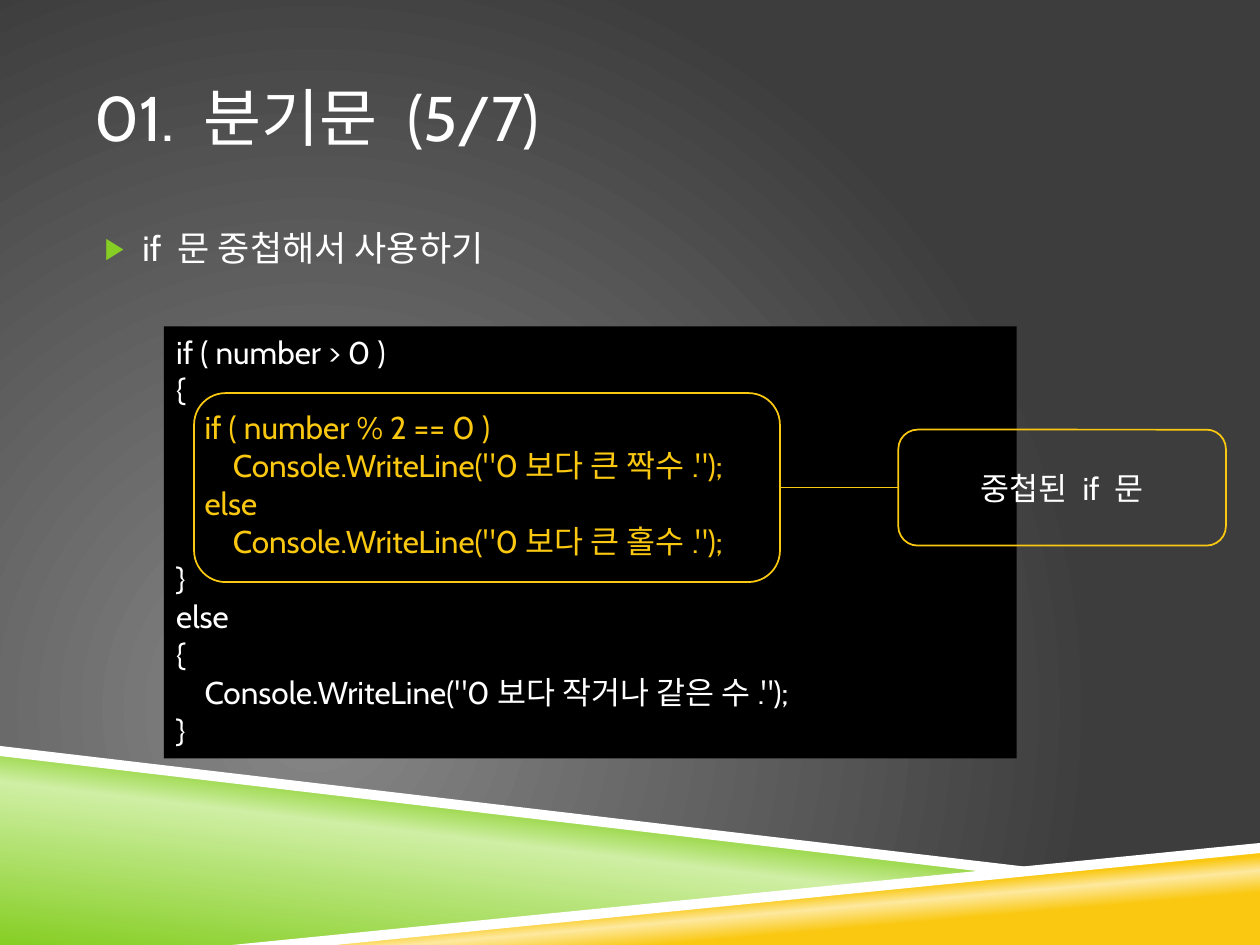
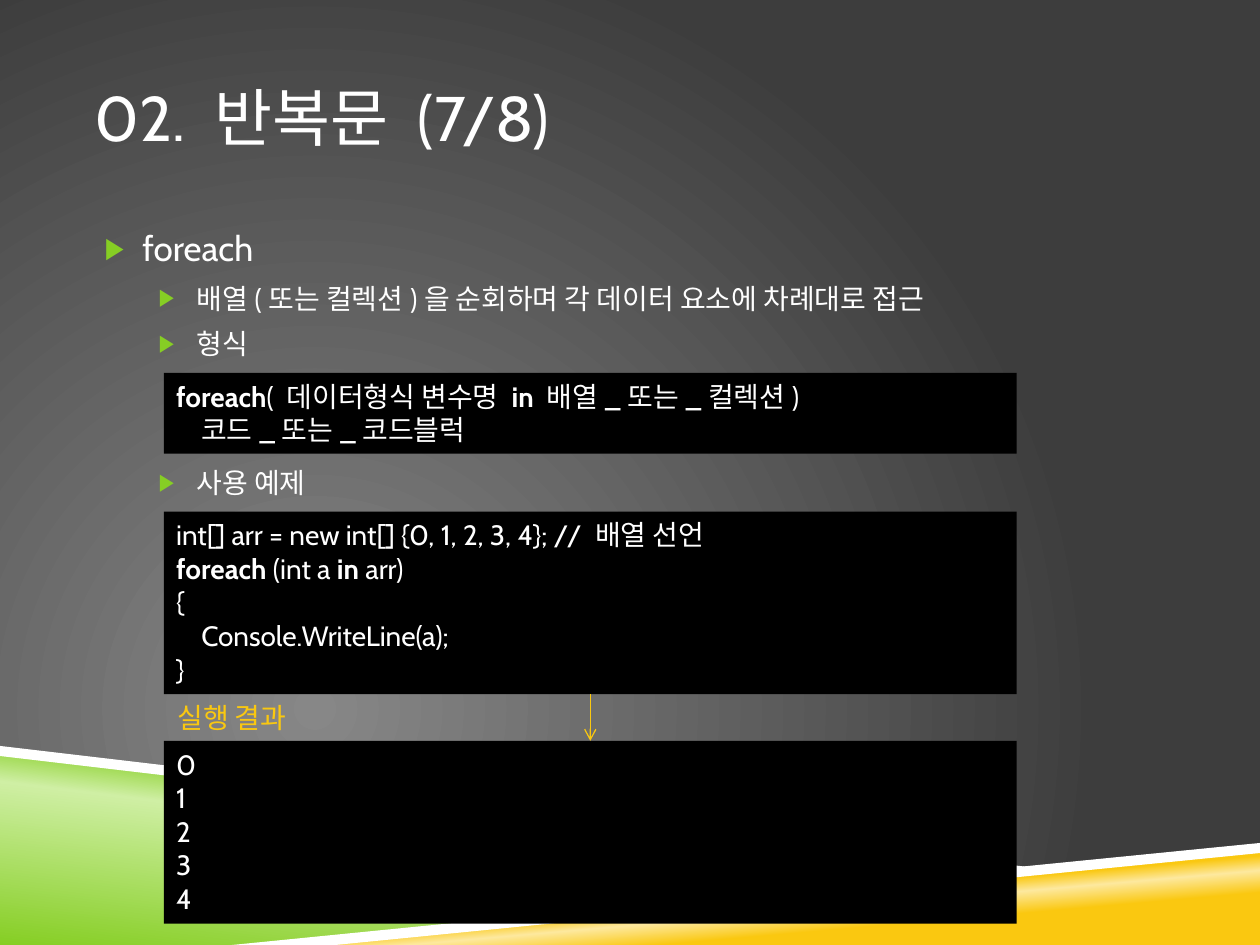
from dataclasses import dataclass

from pptx import Presentation
from pptx.dml.color import RGBColor
from pptx.enum.shapes import MSO_CONNECTOR, MSO_SHAPE
from pptx.enum.text import MSO_ANCHOR, MSO_AUTO_SIZE, PP_ALIGN
from pptx.oxml import parse_xml
from pptx.oxml.ns import nsdecls, qn
from pptx.util import Inches, Pt

RECTANGLE, ROUNDED = MSO_SHAPE.RECTANGLE, MSO_SHAPE.ROUNDED_RECTANGLE
STRAIGHT = MSO_CONNECTOR.STRAIGHT
LEFT, CENTER = PP_ALIGN.LEFT, PP_ALIGN.CENTER
TOP, MIDDLE = MSO_ANCHOR.TOP, MSO_ANCHOR.MIDDLE
NO_FIT, GROW = MSO_AUTO_SIZE.NONE, MSO_AUTO_SIZE.SHAPE_TO_FIT_TEXT
TOP_SITE, LEFT_SITE, BOTTOM_SITE, RIGHT_SITE = range(4)
CONTENT_LAYOUT = 1
CODE_LEFT, CODE_WIDTH = 1.3, 6.77


@dataclass(frozen=True)
class Theme:
    """Colours, font and type sizes of the deck."""
    font: str = "Cabin"
    text: str = "FFFFFF"
    code_fill: str = "000000"
    green: str = "86CE24"
    pale_green: str = "CFEFA4"
    yellow: str = "FAC810"
    pale_yellow: str = "FDE99F"
    glow: str = "878787"
    backdrop: str = "3D3D3D"
    title_size: int = 36
    list_sizes: tuple = (20, 16)
    list_indents: tuple = (0.38, 0.81)
    hanging: float = -0.3
    list_gap: int = 7
    large: int = 18
    small: int = 16


def rgb(colour):
    """Turn a hex string into a colour."""
    return RGBColor.from_string(colour)


def set_gradient(fill, owner, stops, direction):
    """Give a fill any number of stops and a direction element."""
    fill.gradient()
    marks = "".join(
        f'<a:gs pos="{position * 1000}"><a:srgbClr val="{colour}"/></a:gs>'
        for position, colour in stops)
    old = owner.find(".//" + qn("a:gradFill"))
    old.getparent().replace(old, parse_xml(
        f'<a:gradFill {nsdecls("a")} rotWithShape="1">'
        f"<a:gsLst>{marks}</a:gsLst>{direction}</a:gradFill>"))


def linear(angle):
    """Describe a linear gradient, clockwise in degrees."""
    return f'<a:lin ang="{angle * 60000}" scaled="0"/>'


class Deck:
    """Holds the presentation, its theme and the current slide."""

    def __init__(self, theme):
        self.theme = theme
        self.presentation = Presentation()
        self.presentation.slide_width = Inches(10)
        self.presentation.slide_height = Inches(7.5)
        self.slide = None

    def add_slide(self, title):
        """Start a slide with its title."""
        layout = self.presentation.slide_layouts[CONTENT_LAYOUT]
        self.slide = self.presentation.slides.add_slide(layout)
        heading = self.slide.shapes.title
        self.place(heading, 0.75, 0.3, 8.5, 1.25)
        frame = heading.text_frame
        frame.text = title
        self.set_frame(frame, MIDDLE)
        frame.paragraphs[0].alignment = LEFT
        self.style_runs(frame.paragraphs[0], self.theme.title_size)

    def place(self, shape, left, top, width, height):
        """Move and size a placeholder."""
        shape.left, shape.top = Inches(left), Inches(top)
        shape.width, shape.height = Inches(width), Inches(height)

    def set_frame(self, frame, anchor):
        """Remove the side margins of a placeholder and anchor its text."""
        frame.margin_left = frame.margin_right = 0
        frame.margin_top = frame.margin_bottom = Inches(0.05)
        frame.vertical_anchor = anchor
        frame.auto_size = NO_FIT
        frame.word_wrap = True

    def style_runs(self, paragraph, size, colour=None):
        """Apply the deck font to all runs of a paragraph."""
        for run in paragraph.runs:
            run.font.name = self.theme.font
            run.font.size = Pt(size)
            run.font.color.rgb = rgb(colour or self.theme.text)

    def decorate_master(self):
        """Put the backdrop and the crossing bands on the slide master."""
        theme = self.theme
        master = self.presentation.slide_master
        set_gradient(
            master.background.fill, master.element,
            [(0, theme.glow), (100, theme.backdrop)],
            '<a:path path="circle"><a:fillToRect l="50000" t="100000" '
            'r="100000" b="50000"/></a:path>')
        green_band = self.band([(0, 5.97), (7.92, 6.92), (2, 7.5), (0, 7.5)])
        set_gradient(
            green_band.fill, green_band.element,
            [(0, theme.green), (52, theme.pale_green), (66, theme.green)],
            linear(277))
        yellow_band = self.band([(1.98, 7.5), (10, 6.72), (10, 7.5)])
        set_gradient(
            yellow_band.fill, yellow_band.element,
            [(28, theme.yellow), (40, theme.pale_yellow), (48, theme.yellow)],
            linear(265))
        edges = [self.band([(0, 5.92), (0, 6), (7.9, 6.93), (8.32, 6.9)]),
                 self.band([(10, 6.69), (1.84, 7.5), (2.66, 7.5), (10, 6.77)])]
        for edge in edges:
            edge.fill.solid()
            edge.fill.fore_color.rgb = rgb(theme.text)
        front = master.shapes[0].element
        for number, band in enumerate([green_band, yellow_band, *edges], 101):
            band.element.find(".//" + qn("p:cNvPr")).set("id", str(number))
            front.addprevious(band.element)

    def band(self, corners):
        """Draw a closed polygon without outline."""
        points = [(Inches(x), Inches(y)) for x, y in corners]
        builder = self.slide.shapes.build_freeform(*points[0])
        builder.add_line_segments(points[1:], close=True)
        polygon = builder.convert_to_shape()
        polygon.shadow.inherit = False
        polygon.line.fill.background()
        return polygon

    def bullets(self, items, height):
        """Fill the body with (level, text, space before) items."""
        theme = self.theme
        body = self.slide.placeholders[1]
        self.place(body, 0.75, 1.75, 8.5, height)
        frame = body.text_frame
        frame.text = "\n".join(text for _, text, _ in items)
        self.set_frame(frame, TOP)
        for paragraph, (level, _, gap) in zip(frame.paragraphs, items):
            paragraph.level = level
            paragraph.space_before = Pt(gap)
            self.style_runs(paragraph, theme.list_sizes[level])
            properties = paragraph._p.get_or_add_pPr()
            properties.set("marL", str(Inches(theme.list_indents[level])))
            properties.set("indent", str(Inches(theme.hanging)))
            for mark in (
                    f'<a:buClr {nsdecls("a")}><a:srgbClr val="{theme.green}"/>'
                    "</a:buClr>",
                    f'<a:buSzPct {nsdecls("a")} val="85000"/>',
                    f'<a:buChar {nsdecls("a")} char="▶"/>'):
                properties.append(parse_xml(mark))

    def code(self, top, height, size, lines, accented=()):
        """Draw a code panel from (depth, text) lines; ** marks bold parts."""
        theme = self.theme
        panel = self.slide.shapes.add_shape(
            RECTANGLE, Inches(CODE_LEFT), Inches(top),
            Inches(CODE_WIDTH), Inches(height))
        panel.shadow.inherit = False
        panel.fill.solid()
        panel.fill.fore_color.rgb = rgb(theme.code_fill)
        panel.line.fill.background()
        frame = panel.text_frame
        frame.word_wrap = True
        frame.auto_size = GROW
        frame.vertical_anchor = TOP
        for index, (depth, text) in enumerate(lines):
            paragraph = frame.add_paragraph() if index else frame.paragraphs[0]
            paragraph.alignment = LEFT
            indent = Inches(depth * size / 80)
            paragraph._p.get_or_add_pPr().set("marL", str(indent))
            for part, words in enumerate(text.split("**")):
                if words:
                    run = paragraph.add_run()
                    run.text = words
                    run.font.bold = part % 2 == 1
            self.style_runs(paragraph, size,
                            theme.yellow if index in accented else theme.text)
        return panel

    def frame(self, left, top, width, height, text=""):
        """Draw a rounded yellow outline, with a centred label if given."""
        outline = self.slide.shapes.add_shape(
            ROUNDED, Inches(left), Inches(top), Inches(width), Inches(height))
        outline.shadow.inherit = False
        outline.fill.background()
        outline.line.color.rgb = rgb(self.theme.yellow)
        outline.line.width = Pt(1)
        if text:
            outline.text_frame.text = text
            outline.text_frame.vertical_anchor = MIDDLE
            label = outline.text_frame.paragraphs[0]
            label.alignment = CENTER
            self.style_runs(label, self.theme.large)
        return outline

    def link(self, start, start_site, end, end_site, width, arrow=False):
        """Connect two shapes with a yellow line."""
        line = self.slide.shapes.add_connector(STRAIGHT, 0, 0, 0, 0)
        line.begin_connect(start, start_site)
        line.end_connect(end, end_site)
        line.line.color.rgb = rgb(self.theme.yellow)
        line.line.width = Pt(width)
        properties = line.element.spPr
        if arrow:
            properties.find(qn("a:ln")).append(
                parse_xml(f'<a:tailEnd {nsdecls("a")} type="arrow"/>'))
        properties.append(parse_xml(f'<a:effectLst {nsdecls("a")}/>'))

    def caption(self, left, top, width, height, text):
        """Write a small yellow caption."""
        box = self.slide.shapes.add_textbox(
            Inches(left), Inches(top), Inches(width), Inches(height))
        box.text_frame.text = text
        box.text_frame.word_wrap = False
        box.text_frame.auto_size = GROW
        self.style_runs(box.text_frame.paragraphs[0], self.theme.small,
                        self.theme.yellow)


def nested_if_slide(deck):
    """Show an if statement inside another one."""
    theme = deck.theme
    deck.bullets([(0, "if 문 중첩해서 사용하기", theme.list_gap)], 4.52)
    deck.code(2.59, 3.43, theme.large, [
        (0, "if ( number > 0 )"),
        (0, "{"),
        (1, "if ( number % 2 == 0 )"),
        (2, 'Console.WriteLine("0보다 큰 짝수.");'),
        (1, "else"),
        (2, 'Console.WriteLine("0보다 큰 홀수.");'),
        (0, "}"),
        (0, "else"),
        (0, "{"),
        (1, 'Console.WriteLine("0보다 작거나 같은 수.");'),
        (0, "}"),
    ], accented=range(2, 6))
    inner_if = deck.frame(1.54, 3.12, 4.65, 1.5)
    label = deck.frame(7.13, 3.41, 2.6, 0.92, "중첩된 if 문")
    deck.link(inner_if, RIGHT_SITE, label, LEFT_SITE, 1)


def foreach_slide(deck):
    """Show the form, an example and the output of foreach."""
    theme = deck.theme
    room_for_syntax = 60
    deck.bullets([
        (0, "foreach", theme.list_gap),
        (1, "배열(또는 컬렉션)을 순회하며 각 데이터 요소에 차례대로 접근",
         theme.list_gap),
        (1, "형식", theme.list_gap),
        (1, "사용 예제", room_for_syntax),
    ], 5.31)
    deck.code(2.96, 0.64, theme.small, [
        (0, "**foreach**( 데이터형식 변수명 **in **배열_또는_컬렉션)"),
        (1, "코드_또는_코드블럭"),
    ])
    example = deck.code(4.06, 1.45, theme.small, [
        (0, "int[] arr = new int[] {0, 1, 2, 3, 4}; // 배열 선언"),
        (0, "**foreach **(int a **in **arr)"),
        (0, "{"),
        (1, "Console.WriteLine(a);"),
        (0, "}"),
    ])
    output = deck.code(5.88, 1.45, theme.small,
                       [(0, str(number)) for number in range(5)])
    deck.link(example, BOTTOM_SITE, output, TOP_SITE, 0.75, arrow=True)
    deck.caption(1.31, 5.51, 1.16, 0.37, "실행 결과")


def main():
    """Build and save the deck."""
    deck = Deck(Theme())
    deck.add_slide("01. 분기문 (5/7)")
    deck.decorate_master()
    nested_if_slide(deck)
    deck.add_slide("02. 반복문 (7/8)")
    foreach_slide(deck)
    deck.presentation.save("out.pptx")


main()
